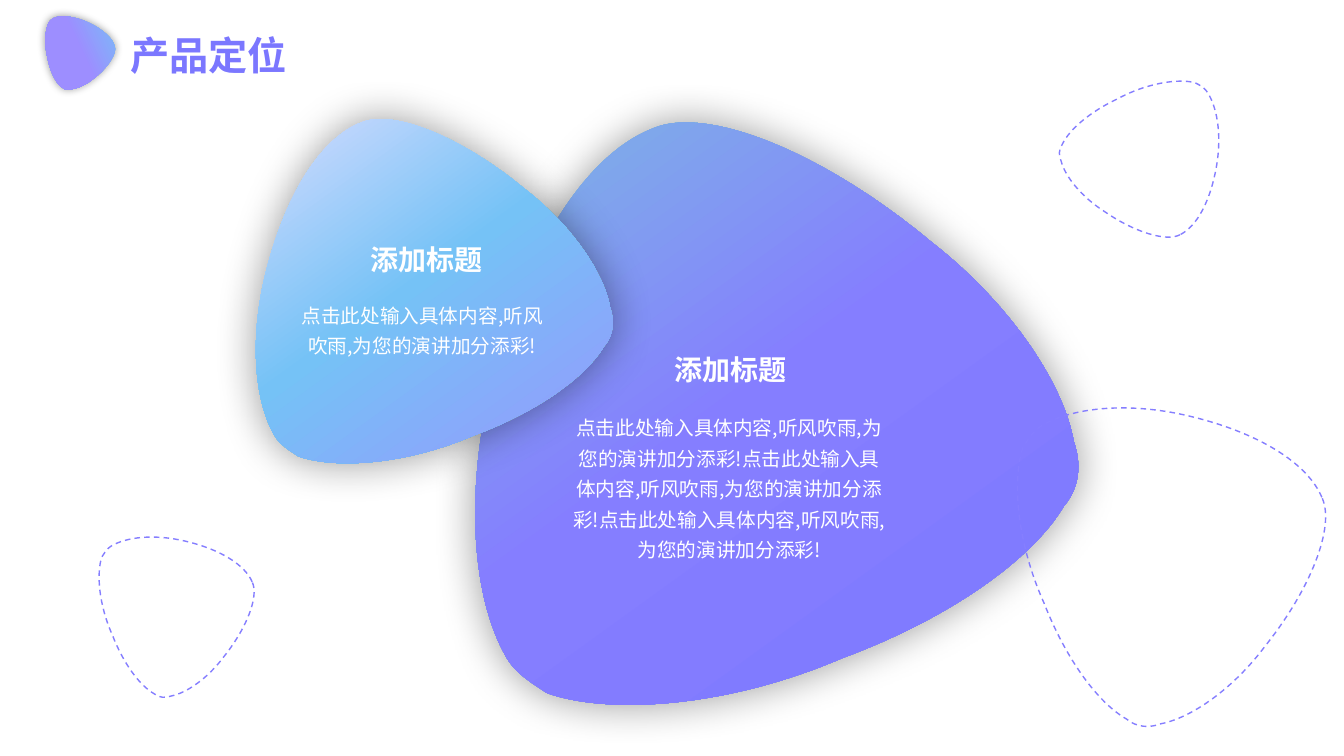
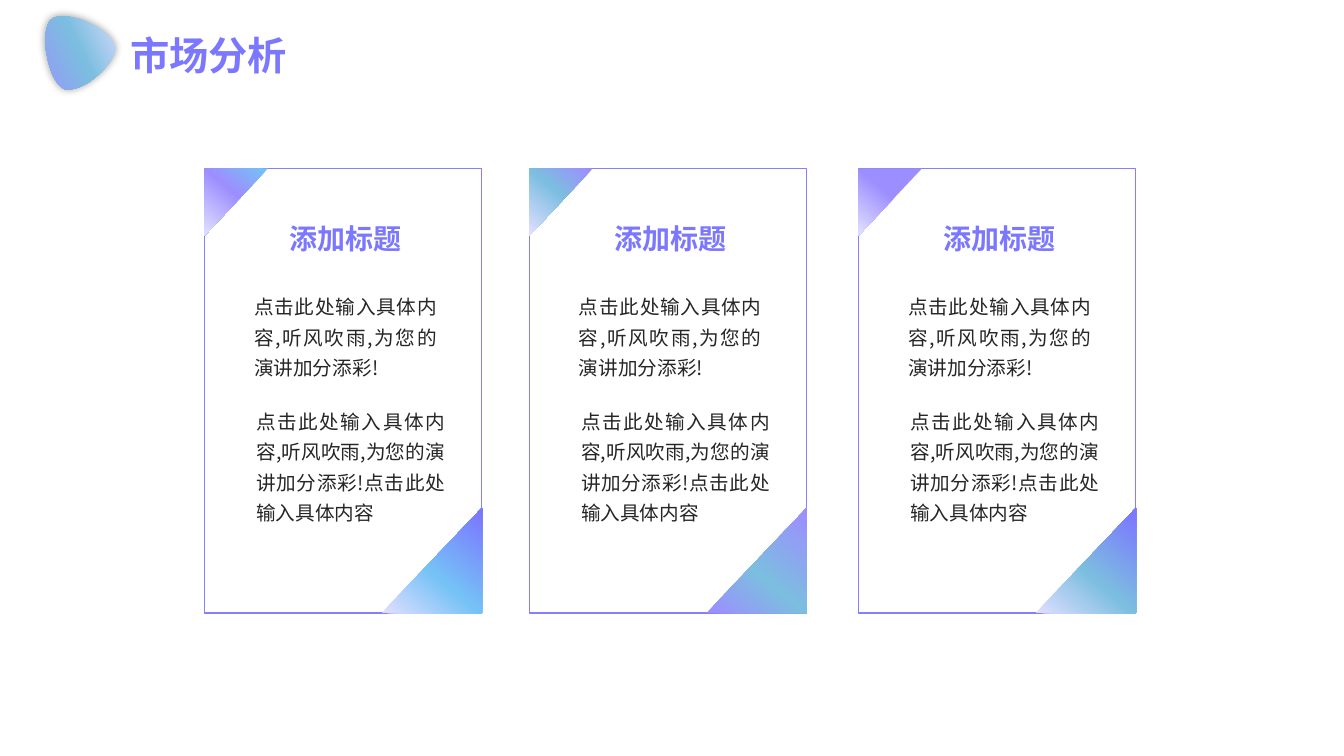
from lxml import etree
from pptx import Presentation
from pptx.dml.color import RGBColor
from pptx.enum.dml import MSO_LINE
from pptx.enum.shapes import MSO_SHAPE
from pptx.enum.text import MSO_ANCHOR, MSO_AUTO_SIZE, PP_ALIGN
from pptx.oxml import parse_xml
from pptx.oxml.ns import qn
from pptx.util import Pt

RIGHT_TRIANGLE, RECTANGLE = MSO_SHAPE.RIGHT_TRIANGLE, MSO_SHAPE.RECTANGLE
LEFT, CENTER, JUSTIFY = PP_ALIGN.LEFT, PP_ALIGN.CENTER, PP_ALIGN.JUSTIFY
TOP, DASH, NO_FIT = MSO_ANCHOR.TOP, MSO_LINE.DASH, MSO_AUTO_SIZE.NONE
DRAWING = "http://schemas.openxmlformats.org/drawingml/2006/main"

FONT = "Noto Sans CJK SC"
WHITE = RGBColor(0xFF, 0xFF, 0xFF)
INK = RGBColor(0x26, 0x26, 0x26)
INDIGO = RGBColor(0x7B, 0x77, 0xFF)
VIOLET = RGBColor(0x85, 0x7E, 0xFF)
LILAC = RGBColor(0x9D, 0x8E, 0xFF)
MIST = RGBColor(0xDE, 0xDE, 0xFF)
SKY = RGBColor(0x75, 0xC2, 0xF6)
TEAL = RGBColor(0x7C, 0xBE, 0xE0)
BLACK = RGBColor(0, 0, 0)

GRADIENT_STOPS = (2, 44, 97)
GRADIENT_ANGLE = 40

PEBBLE_START = (0.16, 0.03)
PEBBLE_CURVES = (
    ((0.24, -0.03), (0.45, 0), (0.66, 0.1)),
    ((0.82, 0.17), (0.94, 0.28), (0.98, 0.37)),
    ((1, 0.4), (1.01, 0.44), (0.99, 0.48)),
    ((0.96, 0.58), (0.85, 0.71), (0.69, 0.82)),
    ((0.52, 0.95), (0.33, 1.01), (0.22, 1)),
    ((0.19, 0.99), (0.16, 0.98), (0.14, 0.96)),
    ((0.06, 0.88), (0, 0.71), (0, 0.51)),
    ((0, 0.28), (0.06, 0.1), PEBBLE_START),
)

HEADING = "添加标题"
SENTENCE = "点击此处输入具体内容,听风吹雨,为您的演讲加分添彩!"
SENTENCE_START = "点击此处输入具体内容"


def set_gradient(shape, colors):
    """Fill a shape with a three-stop gradient that turns with it."""
    shape.fill.gradient()
    gradient = shape._element.spPr.find(qn("a:gradFill"))
    stops = "".join(f'<a:gs pos="{position * 1000}"><a:srgbClr val="{color}"/></a:gs>'
                    for position, color in zip(GRADIENT_STOPS, colors))
    gradient.getparent().replace(gradient, parse_xml(
        f'<a:gradFill xmlns:a="{DRAWING}" rotWithShape="1"><a:gsLst>{stops}</a:gsLst>'
        f'<a:lin ang="{GRADIENT_ANGLE * 60000}" scaled="0"/></a:gradFill>'))
    shape.line.fill.background()


def set_glow(shape, blur):
    """Give a shape a soft shadow all round."""
    effects = shape._element.spPr.find(qn("a:effectLst"))
    shadow = etree.SubElement(effects, qn("a:outerShdw"), blurRad=str(Pt(blur)), dist="0",
                              dir="0", algn="ctr", rotWithShape="0")
    color = etree.SubElement(shadow, qn("a:srgbClr"), val=str(BLACK))
    etree.SubElement(color, qn("a:alpha"), val="40000")


def set_curves(shape):
    """Replace a freeform's straight outline with the pebble's curves."""
    outline = shape._element.spPr.find(".//" + qn("a:path"))
    width, height = int(outline.get("w")), int(outline.get("h"))
    for command in list(outline):
        outline.remove(command)
    commands = [("a:moveTo", (PEBBLE_START,))]
    commands += [("a:cubicBezTo", curve) for curve in PEBBLE_CURVES]
    for tag, points in commands:
        command = etree.SubElement(outline, qn(tag))
        for x, y in points:
            etree.SubElement(command, qn("a:pt"), x=str(round(x * width)),
                             y=str(round(y * height)))
    etree.SubElement(outline, qn("a:close"))


def add_pebble(slide, box, rotation, colors=None, blur=0):
    """Draw a pebble in a box: filled with colours, or else dashed."""
    left, top, width, height = (Pt(length) for length in box)
    builder = slide.shapes.build_freeform(left, top, scale=1.0)
    builder.add_line_segments([(left + width, top), (left + width, top + height),
                               (left, top + height)], close=True)
    pebble = builder.convert_to_shape()
    set_curves(pebble)
    pebble.rotation = rotation
    pebble.shadow.inherit = False
    if colors:
        set_gradient(pebble, colors)
        set_glow(pebble, blur)
    else:
        pebble.fill.background()
        pebble.line.color.rgb = VIOLET
        pebble.line.width = Pt(1)
        pebble.line.dash_style = DASH


def write(shape, text, size, color, bold=False, align=LEFT, spacing=1.0):
    """Write one formatted paragraph into a shape."""
    frame = shape.text_frame
    frame.text = text
    frame.auto_size = NO_FIT
    frame.vertical_anchor = TOP
    frame.word_wrap = True
    paragraph = frame.paragraphs[0]
    paragraph.alignment = align
    paragraph.line_spacing = spacing
    font = paragraph.runs[0].font
    font.name, font.size, font.bold, font.color.rgb = FONT, Pt(size), bold, color
    etree.SubElement(font._element, qn("a:ea"), typeface=FONT)


def add_heading(shapes, left, top, width, color):
    """Add a bold heading."""
    box = shapes.add_textbox(Pt(left), Pt(top), Pt(width), Pt(31.5))
    write(box, HEADING, 20, color, bold=True)


def add_body(shapes, left, top, width, height, text, color, align):
    """Add a block of running text."""
    box = shapes.add_textbox(Pt(left), Pt(top), Pt(width), Pt(height))
    write(box, text, 14, color, align=align, spacing=1.3)


def add_titled_slide(presentation, title, icon_colors):
    """Add a slide with its title and pebble icon."""
    slide = presentation.slides.add_slide(presentation.slide_layouts[5])
    placeholder = slide.shapes.title
    placeholder.left, placeholder.top = Pt(86), Pt(18.7)
    placeholder.width, placeholder.height = Pt(127.4), Pt(41)
    write(placeholder, title, 28, INDIGO, bold=True)
    placeholder.text_frame.word_wrap = False
    add_pebble(slide, (27.6, 13.2, 50.4, 51.8), 114.6, icon_colors, 6)
    return slide


def add_pebble_text(slide, box, heading_at, body_at, text):
    """Write a heading and text at offsets inside a pebble's box."""
    left, top = box[:2]
    x, y, width, height = body_at
    add_body(slide.shapes, left + x, top + y, width, height, text, WHITE, CENTER)
    add_heading(slide.shapes, left + heading_at[0], top + heading_at[1], 108, WHITE)


def add_corner(shapes, left, top, width, height, rotation, colors):
    """Fill a card's corner with a triangle turned a quarter either way."""
    shift = (width - height) / 2
    corner = shapes.add_shape(RIGHT_TRIANGLE, Pt(left + shift), Pt(top - shift),
                              Pt(height), Pt(width))
    corner.rotation = rotation
    corner.shadow.inherit = False
    set_gradient(corner, colors)


def add_card(slide, left, top, width, height, top_colors, bottom_colors):
    """Draw a bordered card with two coloured corners and its text."""
    shapes = slide.shapes.add_group_shape().shapes
    frame = shapes.add_shape(RECTANGLE, Pt(left), Pt(top), Pt(width), Pt(height))
    frame.shadow.inherit = False
    frame.fill.solid()
    frame.fill.fore_color.rgb = WHITE
    frame.line.color.rgb = VIOLET
    frame.line.width = Pt(1)
    add_corner(shapes, left, top, 45.4, 48.2, 90, top_colors)
    add_corner(shapes, left + width - 71.6, top + height - 75.2, 72, 75.6, 270, bottom_colors)
    add_body(shapes, left + 28.4, top + 81.8, 144.7, 73.4, SENTENCE, INK, JUSTIFY)
    add_heading(shapes, left + 53.7, top + 34.6, 95, INDIGO)
    add_body(shapes, left + 30, top + 163.8, 149, 95.8, SENTENCE + SENTENCE_START,
             INK, JUSTIFY)


def build_positioning(presentation):
    """Build the slide with two overlapping pebbles."""
    slide = add_titled_slide(presentation, "产品定位", (SKY, LILAC, LILAC))
    large, small = (346.3, 108, 421.9, 422.6), (186.8, 97.2, 249.8, 249.8)
    add_pebble(slide, large, 14.2, (TEAL, VIOLET, INDIGO), 30)
    add_pebble(slide, small, 14.2, (MIST, SKY, LILAC), 30)
    add_pebble_text(slide, small, (71, 72.7), (17.2, 111.2, 195.1, 51.1), SENTENCE)
    add_pebble_text(slide, large, (128.2, 140.4), (55.4, 180.5, 238.3, 115.2), SENTENCE * 3)
    for left, top, size, rotation in ((713.5, 294.5, 223.2, 103.1),
                                      (64.1, 385.2, 112.3, 103.1),
                                      (757.4, 53.3, 112.3, 189.2)):
        add_pebble(slide, (left, top, size, size), rotation)


def build_market(presentation):
    """Build the slide with three cards."""
    slide = add_titled_slide(presentation, "市场分析", (MIST, TEAL, LILAC))
    cards = (
        (146, (SKY, LILAC, MIST), (MIST, SKY, INDIGO)),
        (378, (LILAC, TEAL, MIST), (LILAC, TEAL, LILAC)),
        (613.2, (LILAC, LILAC, MIST), (MIST, TEAL, INDIGO)),
    )
    for left, top_colors, bottom_colors in cards:
        add_card(slide, left, 120.3, 198, 317.5, top_colors, bottom_colors)


def main():
    """Build and save the presentation."""
    presentation = Presentation()
    presentation.slide_width, presentation.slide_height = Pt(960), Pt(540)
    build_positioning(presentation)
    build_market(presentation)
    presentation.save("out.pptx")


if __name__ == "__main__":
    main()
